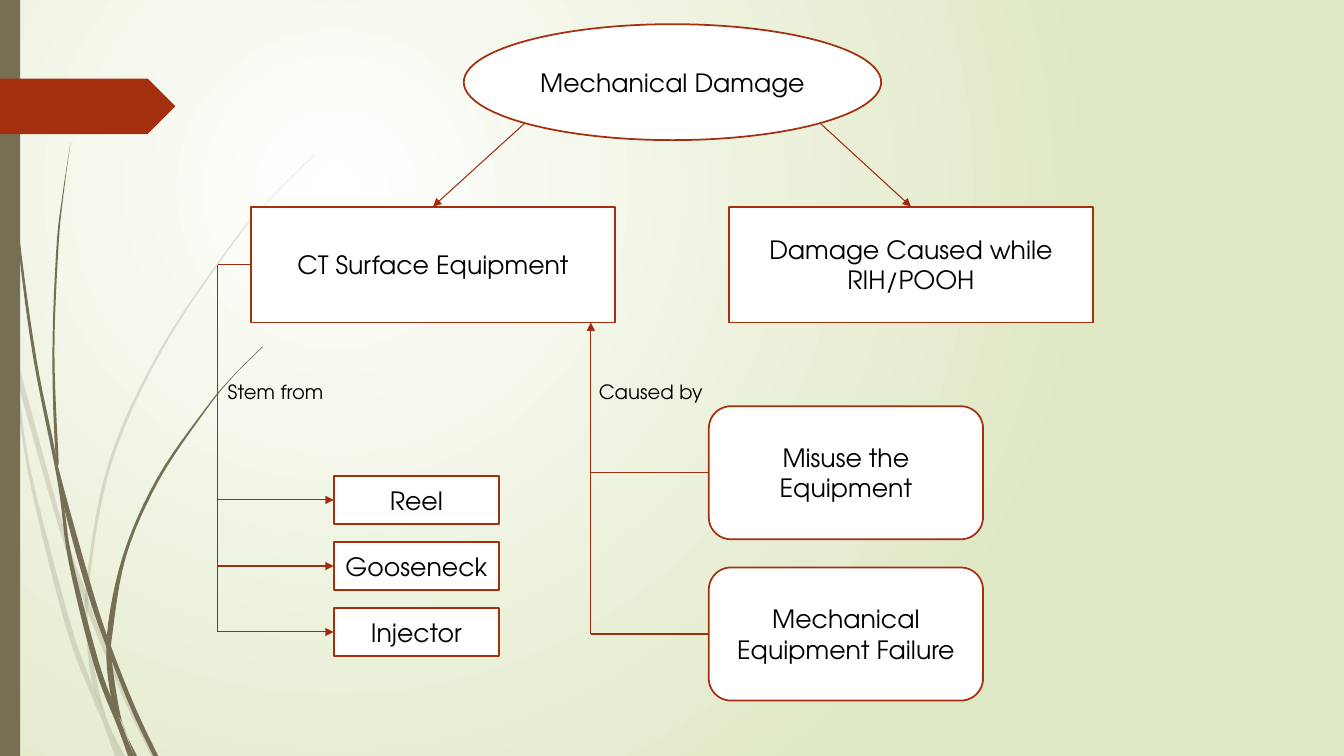
from math import sqrt

from lxml import etree
from pptx import Presentation
from pptx.dml.color import RGBColor
from pptx.enum.shapes import MSO_CONNECTOR, MSO_SHAPE
from pptx.enum.text import MSO_ANCHOR, PP_ALIGN
from pptx.oxml.ns import qn
from pptx.util import Inches, Pt

RECTANGLE, ROUNDED = MSO_SHAPE.RECTANGLE, MSO_SHAPE.ROUNDED_RECTANGLE
ELLIPSE, ARROW_TAG = MSO_SHAPE.OVAL, MSO_SHAPE.PENTAGON
STRAIGHT = MSO_CONNECTOR.STRAIGHT
CENTER, LEFT = PP_ALIGN.CENTER, PP_ALIGN.LEFT
MIDDLE, TOP = MSO_ANCHOR.MIDDLE, MSO_ANCHOR.TOP

FONT = "TeX Gyre Adventor"
RUST, DARK_RUST, OLIVE = "A53010", "9E2E0F", "766F54"
WHITE, PALE_GREEN, BLACK = "FFFFFF", "DFE8C4", "000000"
WIDTH, HEIGHT = 13.33, 7.5

ROOT = "Mechanical Damage"
BRANCHES = ["CT Surface Equipment", "Damage Caused while RIH/POOH"]
SOURCES = ["Reel", "Gooseneck", "Injector"]
CAUSES = ["Misuse the Equipment", "Mechanical Equipment Failure"]
SOURCE_LABEL, CAUSE_LABEL = "Stem from", "Caused by"

# Boxes are (left, top, width, height); rows and columns repeat at a fixed step.
ROOT_BOX = (4.6, 0.24, 4.14, 1.15)
BRANCH_BOX, BRANCH_STEP = (2.49, 2.05, 3.61, 1.15), 4.74
SOURCE_BOX, SOURCE_STEP = (3.31, 4.72, 1.64, 0.48), 0.655
CAUSE_BOX, CAUSE_STEP = (7.03, 4.03, 2.72, 1.32), 1.6
SOURCE_TRUNK, CAUSE_TRUNK = 2.16, 5.86
LABEL_TOP = 3.72

# Each grass blade is a left edge and a right edge, from tip to root.
FAINT_BLADES = [
    ([(0, 2.99), (0.11, 3.5), (0.28, 4.7), (0.65, 6.21), (0.92, 6.93),
      (1.01, 7.14), (1.14, 7.5)],
     [(0, 2.82), (0.09, 3.22), (0.17, 3.76), (0.31, 4.69), (0.7, 6.19),
      (0.93, 6.83), (1.05, 7.11), (1.19, 7.5)]),
    ([(0.14, 3.45), (0.17, 3.76), (0.58, 5.22), (0.84, 5.99), (0.88, 6.1),
      (1.23, 6.94), (1.5, 7.5)],
     [(0.14, 3.45), (0.62, 5.2), (0.85, 5.86), (0.92, 6.07), (1.27, 6.92),
      (1.55, 7.5)]),
    ([(3.12, 1.53), (2.68, 1.97), (2.28, 2.44), (1.58, 3.48), (1.07, 4.61),
      (0.85, 5.84), (0.87, 6.46), (0.93, 6.83), (1.05, 7.11), (1.19, 7.5)],
     [(3.12, 1.54), (2.68, 1.98), (2.29, 2.45), (1.6, 3.49), (1.1, 4.62),
      (0.88, 5.84), (0.91, 6.46), (1.05, 7.11), (1.24, 7.5)]),
]
SOLID_BLADES = [
    ([(0.03, 0), (0.07, 1.1), (0.17, 2.33), (0.33, 3.55), (0.57, 4.77),
      (0.68, 5.57), (0.93, 6.59), (1.17, 7.22), (1.27, 7.5)],
     [(0.04, 0), (0.08, 1.09), (0.19, 2.32), (0.36, 3.55), (0.55, 4.49),
      (0.64, 5.05), (0.72, 5.56), (0.98, 6.57), (1.16, 7.06), (1.33, 7.5)]),
    ([(0.7, 1.41), (0.62, 1.93), (0.56, 2.45), (0.52, 3.49), (0.55, 4.49),
      (0.64, 5.05), (0.88, 5.92), (1.11, 6.56), (1.32, 7.08), (1.52, 7.5)],
     [(0.7, 1.41), (0.63, 1.93), (0.58, 2.45), (0.54, 3.49), (0.58, 4.53),
      (0.6, 4.72), (0.93, 5.9), (1.13, 6.49), (1.36, 7.06), (1.57, 7.5)]),
    ([(2.6, 3.44), (2.31, 3.73), (2.04, 4.05), (1.56, 4.74), (1.22, 5.51),
      (1.06, 6.31), (1.1, 6.91), (1.22, 7.19), (1.33, 7.5)],
     [(2.61, 3.44), (2.31, 3.74), (2.05, 4.06), (1.58, 4.76), (1.25, 5.52),
      (1.11, 6.33), (1.11, 6.56), (1.21, 7.16), (1.36, 7.5)]),
]


def color(hex_text):
    return RGBColor.from_string(hex_text)


def stacked(box, count, step_x=0, step_y=0):
    left, top, width, height = box
    return [(left + i * step_x, top + i * step_y, width, height) for i in range(count)]


def middle_y(box):
    return box[1] + box[3] / 2


def paint_background(slide):
    """Radial gradient centred a quarter of the way across and down."""
    fill = slide.background.fill
    fill.gradient()
    for stop, shade, position in zip(fill.gradient_stops, (WHITE, PALE_GREEN), (0, 1)):
        stop.color.rgb, stop.position = color(shade), position
    gradient = slide.background._cSld.find(".//" + qn("a:gradFill"))
    gradient.remove(gradient.find(qn("a:lin")))
    circle = etree.SubElement(gradient, qn("a:path"), path="circle")
    etree.SubElement(circle, qn("a:fillToRect"), l="50000", t="50000", r="100000", b="100000")


def smooth(points, steps=6):
    """Catmull-Rom curve through the points."""
    padded = [points[0], *points, points[-1]]
    curve = [points[0]]
    for a, b, c, d in zip(padded, padded[1:], padded[2:], padded[3:]):
        for t in (step / steps for step in range(1, steps + 1)):
            curve.append(tuple(
                b[k] + t / 2 * (c[k] - a[k]
                                + t * (2 * a[k] - 5 * b[k] + 4 * c[k] - d[k])
                                + t * t * (3 * b[k] - a[k] - 3 * c[k] + d[k]))
                for k in (0, 1)))
    return curve


def finish(shape, fill, line=None):
    shape.shadow.inherit = False
    shape.fill.solid()
    shape.fill.fore_color.rgb = color(fill)
    if line:
        shape.line.color.rgb = color(line)
        shape.line.width = Pt(1.25)
    else:
        shape.line.fill.background()


def add_blade(slide, edges, opacity):
    left_edge, right_edge = map(smooth, edges)
    outline = [(Inches(x), Inches(y)) for x, y in left_edge + right_edge[::-1]]
    builder = slide.shapes.build_freeform(*outline[0])
    builder.add_line_segments(outline[1:], close=True)
    blade = builder.convert_to_shape()
    finish(blade, OLIVE)
    if opacity < 100:
        shade = blade.fill._xPr.find(".//" + qn("a:srgbClr"))
        etree.SubElement(shade, qn("a:alpha"), val=str(opacity * 1000))


def write(shape, text, size, alignment, anchor, wrap):
    frame = shape.text_frame
    frame.text = text
    frame.word_wrap, frame.vertical_anchor = wrap, anchor
    paragraph = frame.paragraphs[0]
    paragraph.alignment = alignment
    font = paragraph.runs[0].font
    font.name, font.size, font.color.rgb = FONT, Pt(size), color(BLACK)


def add_shape(slide, kind, box, fill, line=None):
    shape = slide.shapes.add_shape(kind, *map(Inches, box))
    finish(shape, fill, line)
    return shape


def add_node(slide, kind, box, text):
    write(add_shape(slide, kind, box, WHITE, RUST), text, 18, CENTER, MIDDLE, True)


def add_label(slide, left, width, text):
    label = slide.shapes.add_textbox(*map(Inches, (left, LABEL_TOP, width, 0.34)))
    write(label, text, 14, LEFT, TOP, False)


def add_line(slide, start, end, arrow=False):
    connector = slide.shapes.add_connector(STRAIGHT, *map(Inches, (*start, *end)))
    connector.line.color.rgb = color(DARK_RUST)
    connector.line.width = Pt(0.75)
    if arrow:
        etree.SubElement(connector.line._get_or_add_ln(), qn("a:tailEnd"), type="triangle")
    etree.SubElement(connector._element.spPr, qn("a:effectLst"))


def main():
    presentation = Presentation()
    presentation.slide_width, presentation.slide_height = Inches(WIDTH), Inches(HEIGHT)
    slide = presentation.slides.add_slide(presentation.slide_layouts[6])

    paint_background(slide)
    for blades, opacity in ((FAINT_BLADES, 20), (SOLID_BLADES, 100)):
        for edges in blades:
            add_blade(slide, edges, opacity)
    add_shape(slide, RECTANGLE, (0, 0, 0.2, HEIGHT), OLIVE)
    add_shape(slide, ARROW_TAG, (0, 0.78, 1.74, 0.55), RUST)

    branches = stacked(BRANCH_BOX, len(BRANCHES), step_x=BRANCH_STEP)
    sources = stacked(SOURCE_BOX, len(SOURCES), step_y=SOURCE_STEP)
    causes = stacked(CAUSE_BOX, len(CAUSES), step_y=CAUSE_STEP)
    for kind, boxes, texts in ((ELLIPSE, [ROOT_BOX], [ROOT]), (RECTANGLE, branches, BRANCHES),
                               (RECTANGLE, sources, SOURCES), (ROUNDED, causes, CAUSES)):
        for box, text in zip(boxes, texts):
            add_node(slide, kind, box, text)

    left, top, width, height = ROOT_BOX
    for side, branch in zip((-1, 1), branches):
        start = (left + width / 2 * (1 + side / sqrt(2)), top + height / 2 * (1 + 1 / sqrt(2)))
        add_line(slide, start, (branch[0] + branch[2] / 2, branch[1]), arrow=True)

    equipment = branches[0]
    trunk_top = (SOURCE_TRUNK, middle_y(equipment))
    add_line(slide, (equipment[0], middle_y(equipment)), trunk_top)
    add_line(slide, trunk_top, (SOURCE_TRUNK, middle_y(sources[-1])))
    for box in sources:
        add_line(slide, (SOURCE_TRUNK, middle_y(box)), (box[0], middle_y(box)), arrow=True)

    add_line(slide, (CAUSE_TRUNK, middle_y(causes[-1])),
             (CAUSE_TRUNK, equipment[1] + equipment[3]), arrow=True)
    for box in causes:
        add_line(slide, (box[0], middle_y(box)), (CAUSE_TRUNK, middle_y(box)))

    add_label(slide, CAUSE_TRUNK - 0.02, 1.25, CAUSE_LABEL)
    add_label(slide, SOURCE_TRUNK, 1.17, SOURCE_LABEL)
    presentation.save("out.pptx")


if __name__ == "__main__":
    main()
